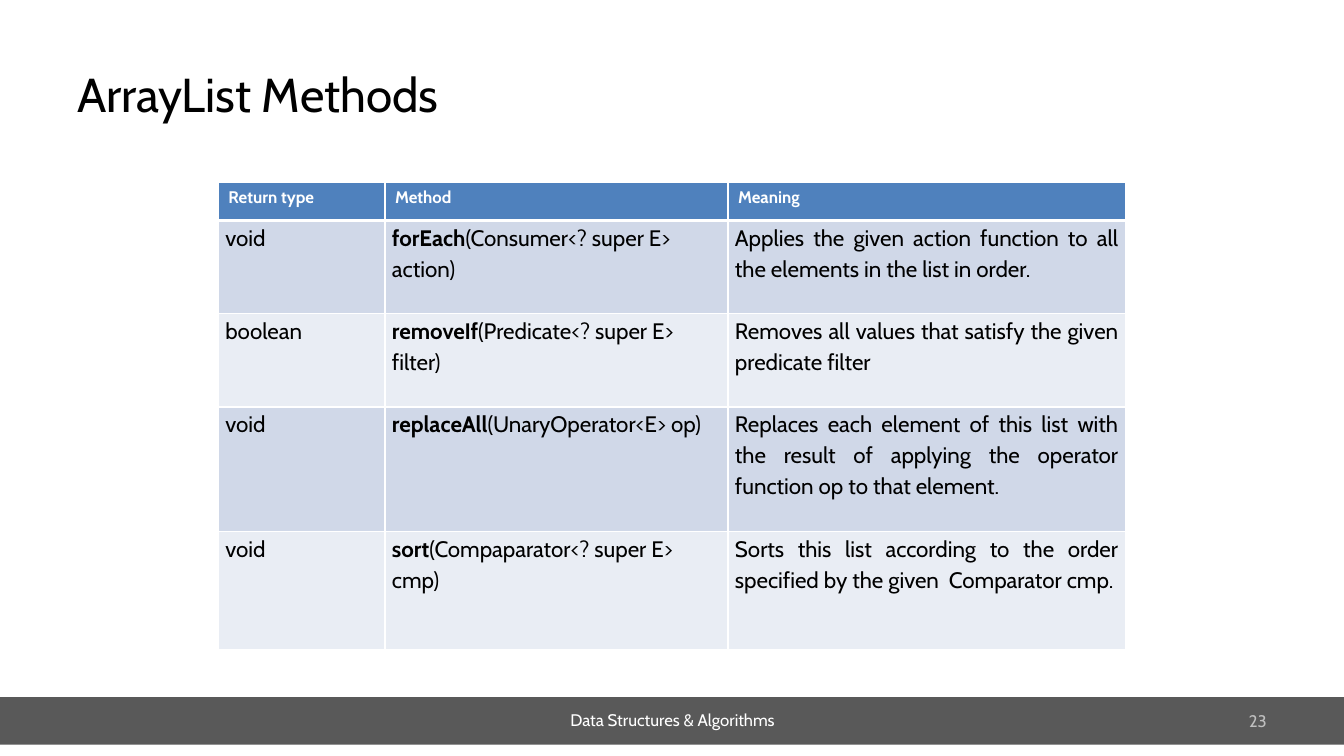
from lxml import etree
from pptx import Presentation
from pptx import util as u
from pptx.dml.color import RGBColor
from pptx.enum import shapes, text
from pptx.oxml.ns import qn

COLOURS = {
    "black": "000000", "white": "FFFFFF", "bar": "595959", "number": "BFBFBF",
    "header": "4F81BD", "odd": "D0D8E8", "even": "E9EDF4",
}
FONT = "Cabin"
LEFT, CENTER, RIGHT, JUSTIFY = (
    text.PP_ALIGN.LEFT, text.PP_ALIGN.CENTER, text.PP_ALIGN.RIGHT, text.PP_ALIGN.JUSTIFY)
TOP, MIDDLE = text.MSO_ANCHOR.TOP, text.MSO_ANCHOR.MIDDLE

COLUMN_WIDTHS = [119, 245, 284]
ROW_HEIGHTS = [27.5, 66.6, 66.6, 89, 84.5]
HEADINGS = ["Return type", "Method", "Meaning"]
# Return type, method name, parameters, meaning
METHODS = [
    ("void", "forEach", "(Consumer<? super E> action) ",
     "Applies the given action function to all the elements in the list in order."),
    ("boolean", "removeIf", "(Predicate<? super E> filter)",
     "Removes all values that satisfy the given predicate filter"),
    ("void", "replaceAll", "(UnaryOperator<E> op)",
     "Replaces each element of this list with the result of applying "
     "the operator function op to that element."),
    ("void", "sort", "(Compaparator<? super E> cmp)",
     "Sorts this list according to the order specified by the given  Comparator cmp."),
]


def colour(name):
    return RGBColor.from_string(COLOURS[name])


def apply_format(target, values):
    for name, value in values.items():
        setattr(target, name, value)


def write(para, spans, size, shade, **layout):
    """Fill a paragraph with (wording, bold) spans."""
    apply_format(para, layout)
    for wording, bold in spans:
        span = para.add_run()
        span.text = wording
        apply_format(span.font, {"name": FONT, "size": u.Pt(size), "bold": bold})
        span.font.color.rgb = colour(shade)


def add_bar(page, left, top, width, height):
    bar = page.shapes.add_shape(
        shapes.MSO_SHAPE.RECTANGLE, *map(u.Pt, (left, top, width, height)))
    bar.shadow.inherit = False
    bar.fill.solid()
    bar.fill.fore_color.rgb = colour("bar")
    bar.line.fill.background()


def add_label(page, area, wording, size, shade, anchor=MIDDLE, margin_top=3.6, **layout):
    box = page.shapes.add_textbox(*map(u.Pt, area))
    apply_format(box.text_frame, {
        "word_wrap": True, "vertical_anchor": anchor, "margin_top": u.Pt(margin_top)})
    write(box.text_frame.paragraphs[0], [(wording, False)], size, shade, **layout)


def set_borders(cell, widths):
    """Draw white cell edges; widths maps L, R, T, B to points."""
    properties = cell._tc.get_or_add_tcPr()
    for side, width in widths.items():
        edge = etree.SubElement(properties, qn("a:ln" + side), w=str(u.Pt(width)))
        fill = etree.SubElement(edge, qn("a:solidFill"))
        etree.SubElement(fill, qn("a:srgbClr"), val=COLOURS["white"])


def style_cell(cell, shade, borders, margins=None):
    set_borders(cell, borders)
    cell.fill.solid()
    cell.fill.fore_color.rgb = colour(shade)
    cell.vertical_anchor = TOP
    apply_format(cell, margins or {})


def add_method_table(page, left, top):
    area = (left, top, sum(COLUMN_WIDTHS), sum(ROW_HEIGHTS))
    table = page.shapes.add_table(
        len(ROW_HEIGHTS), len(COLUMN_WIDTHS), *map(u.Pt, area)).table
    for column, width in zip(table.columns, COLUMN_WIDTHS):
        column.width = u.Pt(width)
    for row, height in zip(table.rows, ROW_HEIGHTS):
        row.height = u.Pt(height)

    # Header row
    for index, heading in enumerate(HEADINGS):
        cell = table.cell(0, index)
        style_cell(cell, "header", {"L": 1, "R": 1, "T": 1, "B": 3})
        write(cell.text_frame.paragraphs[0], [(heading, True)], 12, "white")

    # Method rows
    margins = {"margin_left": u.Pt(5), "margin_right": u.Pt(5),
               "margin_top": 0, "margin_bottom": 0}
    for number, (kind, name, parameters, meaning) in enumerate(METHODS, 1):
        borders = {"L": 1, "R": 1, "T": 3 if number == 1 else 1, "B": 1}
        columns = [
            ([(kind, False)], LEFT),
            ([(name, True), (parameters, False)], LEFT),
            ([(meaning, False)], JUSTIFY),
        ]
        for index, (spans, alignment) in enumerate(columns):
            cell = table.cell(number, index)
            style_cell(cell, "odd" if number % 2 else "even", borders, margins)
            write(cell.text_frame.paragraphs[0], spans, 16, "black",
                  alignment=alignment, line_spacing=1.15)


def main():
    deck = Presentation()
    apply_format(deck, {"slide_width": u.Pt(960), "slide_height": u.Pt(540)})
    page = deck.slides.add_slide(deck.slide_layouts[6])

    # Footer
    add_bar(page, 0, 498, 960, 34)
    add_label(page, (353, 500.5, 255, 29), "Data Structures & Algorithms", 12, "white",
              anchor=TOP, margin_top=6.5, alignment=CENTER, space_before=u.Pt(2.4))
    add_label(page, (688, 500.5, 224, 29), "23", 12, "number", alignment=RIGHT)

    # Title and table
    add_label(page, (48, 21.6, 864, 90), "ArrayList Methods", 34, "black")
    add_method_table(page, 156, 130)

    deck.save("out.pptx")


main()
